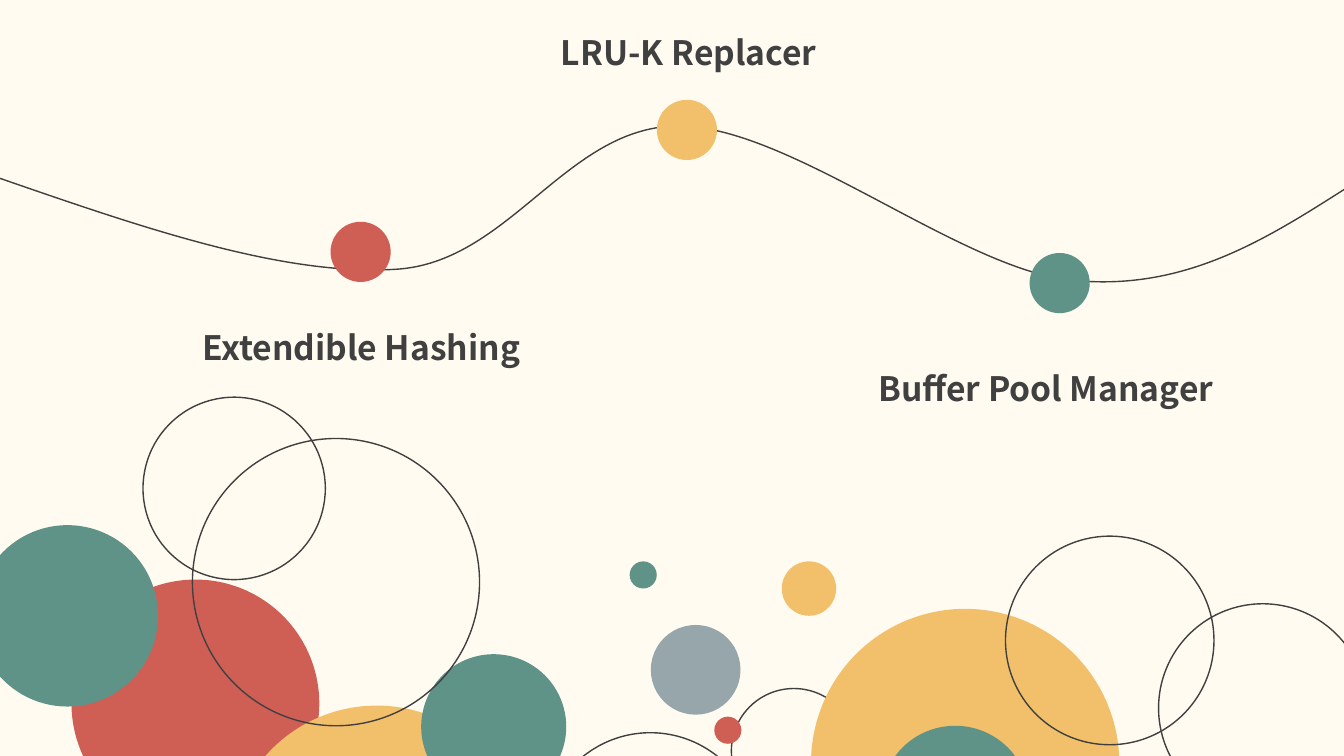
from pptx import Presentation
from pptx.dml.color import RGBColor
from pptx.enum.shapes import MSO_SHAPE as SHAPE
from pptx.enum.text import MSO_AUTO_SIZE as AUTO, PP_ALIGN as ALIGN
from pptx.oxml import parse_xml
from pptx.oxml.ns import nsdecls, qn
from pptx.util import Pt

CREAM = RGBColor(0xFF, 0xFB, 0xF0)
RED = RGBColor(0xCF, 0x5F, 0x55)
YELLOW = RGBColor(0xF2, 0xC0, 0x6B)
GREEN = RGBColor(0x5F, 0x93, 0x87)
GREY = RGBColor(0x97, 0xA6, 0xAB)
DARK = RGBColor(0x40, 0x40, 0x40)

BUBBLES = [
    (51.1, 414, 177.1, RED),
    (163.4, 504, 211.7, YELLOW),
    (301, 467.3, 103.7, GREEN),
    (388.1, 523.4, 153.4, None),
    (137.5, 313.2, 205.2, None),
    (-16.6, 375.1, 129.6, GREEN),
    (522.7, 491.8, 89.3, None),
    (579.6, 434.9, 220.3, YELLOW),
    (629.3, 518.4, 106.6, GREEN),
    (718.6, 383, 149, None),
    (828, 431.3, 149, None),
    (465.1, 446.4, 64.1, GREY),
    (510.5, 511.9, 19.4, RED),
    (450, 401, 19.4, GREEN),
    (558.7, 401, 38.9, YELLOW),
    (102.2, 283.7, 130.3, None),
]
WAVE = [
    (0, 127.4),
    (102.2, 162.7), (203.8, 198), (285.1, 192.2),
    (365.8, 185.8), (406.1, 88.6), (486.7, 90),
    (566.6, 91.4), (687.6, 193), (766.8, 200.2),
    (845.3, 208.1), (902.9, 172.1), (960.5, 135.4),
]
WAVE_HEIGHT = 111.6
MILESTONE_SIZE = 43
MILESTONES = [
    (236.2, 158.4, RED),
    (469.4, 71.3, YELLOW),
    (735.8, 180.7, GREEN),
]
LABELS = [
    ("Extendible Hashing", 137.5, 229.7, 288, ALIGN.LEFT),
    ("LRU-K Replacer", 380.2, 19.4, 223.9, ALIGN.CENTER),
    ("Buffer Pool Manager", 620.6, 259.2, 306.7, ALIGN.LEFT),
]
LABEL_FONT = {"name": "Noto Sans CJK SC", "size": Pt(24), "bold": True}


def paint(s, fill=None):
    s.shadow.inherit = False
    if fill is None:
        s.fill.background()
        s.line.color.rgb = DARK
        s.line.width = Pt(1)
    else:
        s.fill.solid()
        s.fill.fore_color.rgb = fill
        s.line.fill.background()


def add_circle(slide, left, top, size, fill):
    s = slide.shapes.add_shape(SHAPE.OVAL, Pt(left), Pt(top), Pt(size), Pt(size))
    paint(s, fill)


def add_wave(slide, points, height):
    start, *rest = [(Pt(x), Pt(y)) for x, y in points]
    builder = slide.shapes.build_freeform(*start)
    builder.add_line_segments(rest, close=False)
    s = builder.convert_to_shape()
    path = next(s.element.iter(qn("a:path")))
    lines = path.findall(qn("a:lnTo"))
    for i in range(0, len(lines), 3):
        curve = parse_xml(f"<a:cubicBezTo {nsdecls('a')}/>")
        for line in lines[i:i + 3]:
            curve.append(line[0])
            path.remove(line)
        path.append(curve)
    s.height = Pt(height)
    path.set("h", str(Pt(height)))
    paint(s)


def add_label(slide, text, left, top, width, align):
    s = slide.shapes.add_textbox(Pt(left), Pt(top), Pt(width), Pt(36))
    tf = s.text_frame
    tf.word_wrap = True
    tf.auto_size = AUTO.SHAPE_TO_FIT_TEXT
    p = tf.paragraphs[0]
    p.alignment = align
    r = p.add_run()
    r.text = text
    for name, value in LABEL_FONT.items():
        setattr(r.font, name, value)
    r.font.color.rgb = DARK


def main():
    prs = Presentation()
    prs.slide_width, prs.slide_height = Pt(960.5), Pt(540)
    slide = prs.slides.add_slide(prs.slide_layouts[6])
    slide.background.fill.solid()
    slide.background.fill.fore_color.rgb = CREAM
    for bubble in BUBBLES:
        add_circle(slide, *bubble)
    add_wave(slide, WAVE, WAVE_HEIGHT)
    for left, top, fill in MILESTONES:
        add_circle(slide, left, top, MILESTONE_SIZE, fill)
    for label in LABELS:
        add_label(slide, *label)
    prs.save("out.pptx")


if __name__ == "__main__":
    main()
